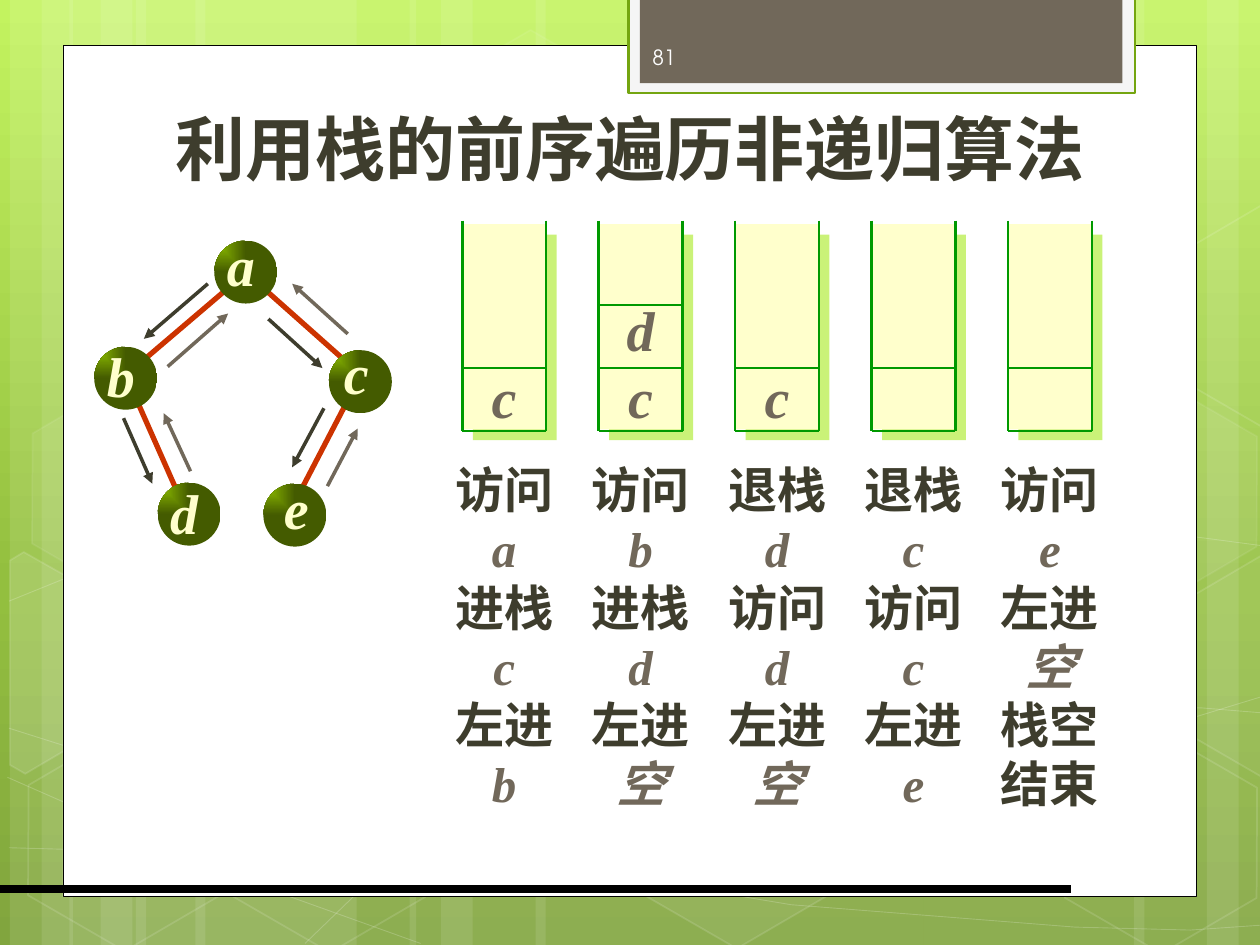
from pptx import Presentation, util as u
from pptx.dml.color import RGBColor
from pptx.enum import shapes as s, text as t
from pptx.oxml import parse_xml
from pptx.oxml.ns import qn, nsdecls

HUE = {"white": "FFFFFF", "black": "000000", "ink": "3E3D2D", "taupe": "71685A",
       "cream": "FFFFCC", "green": "009900", "red": "CC3300", "shade": "CAF278",
       "pale": "F5F5F5", "rim": "74A510", "page": "FEFEFE", "lit": "94C600",
       "dark": "445B00", "top": "C3F35F", "mid": "93BF3F", "low": "81A53E"}
SANS, SERIF = "TeX Gyre Adventor", "Times New Roman"


def rgb(hue):
    return RGBColor.from_string(HUE[hue])


class Deck:
    def __init__(self):
        self.prs = Presentation()
        self.prs.slide_width, self.prs.slide_height = u.Cm(25.4), u.Cm(19.05)
        self.slide = self.prs.slides.add_slide(self.prs.slide_layouts[5])
        self.pen = self.slide.shapes

    def group(self, on=True):
        self.pen = self.slide.shapes
        if on:
            self.pen = self.pen.add_group_shape().shapes

    def blend(self, stops, way):
        marks = "".join(f'<a:gs pos="{pos * 1000}"><a:srgbClr val="{HUE[hue]}"/></a:gs>'
                        for pos, hue in stops)
        return parse_xml(f'<a:gradFill {nsdecls("a")} rotWithShape="1">'
                         f'<a:gsLst>{marks}</a:gsLst>{way}</a:gradFill>')

    def back(self, stops):
        fill = self.slide.background.fill
        fill.solid()
        old = self.slide._element.cSld.find(".//" + qn("a:solidFill"))
        old.getparent().replace(old, self.blend(stops, '<a:lin ang="5400000" scaled="0"/>'))

    def paint(self, item, fill=None, line=None, wide=1, alpha=100, dim=100):
        item.shadow.inherit = False
        if fill:
            item.fill.solid()
            item.fill.fore_color.rgb = rgb(fill)
        else:
            item.fill.background()
        if line:
            item.line.color.rgb = rgb(line)
            item.line.width = u.Pt(wide)
        else:
            item.line.fill.background()
        for tag, pct in (("a:solidFill", alpha), ("a:ln", dim)):
            part = item._element.spPr.find(qn(tag))
            if part is not None and pct < 100:
                for clr in part.iter(qn("a:srgbClr")):
                    clr.append(parse_xml(f'<a:alpha {nsdecls("a")} val="{pct * 1000}"/>'))
        return item

    def shape(self, kind, box, **look):
        return self.paint(self.pen.add_shape(kind, *map(u.Cm, box)), **look)

    def rect(self, *box, **look):
        return self.shape(s.MSO_SHAPE.RECTANGLE, box, **look)

    def hexagon(self, x, y, **look):
        item = self.shape(s.MSO_SHAPE.HEXAGON, (x, y, 4.45, 3.86), line="white", **look)
        item.adjustments[0] = 0.285
        item.rotation = 30

    def trace(self, dots, close=False, **look):
        dots = [(u.Cm(x), u.Cm(y)) for x, y in dots]
        form = self.pen.build_freeform(*dots[0])
        form.add_line_segments(dots[1:], close=close)
        self.paint(form.convert_to_shape(), line="white", **look)

    def ball(self, x, y):
        item = self.shape(s.MSO_SHAPE.OVAL, (x, y, 1.27, 1.27), fill="lit")
        props = item._element.spPr
        way = '<a:path path="rect"><a:fillToRect r="100000" b="100000"/></a:path>'
        props.replace(props.find(qn("a:solidFill")),
                      self.blend([(0, "lit"), (100, "dark")], way))

    def cast(self, item):
        item._element.spPr.find(qn("a:effectLst")).append(parse_xml(
            f'<a:outerShdw {nsdecls("a")} dist="107950" dir="2700000" algn="ctr" '
            f'rotWithShape="0"><a:srgbClr val="{HUE["shade"]}"/></a:outerShdw>'))

    def line(self, *ends, hue, wide, arrow=False):
        item = self.pen.add_connector(s.MSO_CONNECTOR.STRAIGHT, *map(u.Cm, ends))
        item.line.color.rgb = rgb(hue)
        item.line.width = u.Pt(wide)
        if arrow:
            item.line._get_or_add_ln().append(
                parse_xml(f'<a:tailEnd {nsdecls("a")} type="triangle"/>'))
        item._element.spPr.append(parse_xml(f'<a:effectLst {nsdecls("a")}/>'))

    def style(self, para, size, hue, face, bold=True, slant=False):
        font = para.font
        font.size, font.name, font.bold, font.italic = u.Pt(size), face, bold, slant
        font.color.rgb = rgb(hue)

    def title(self, words, box):
        item = self.slide.shapes.title
        item.left, item.top, item.width, item.height = map(u.Cm, box)
        frame = item.text_frame
        frame.text = words
        frame.auto_size = t.MSO_AUTO_SIZE.NONE
        frame.vertical_anchor = t.MSO_ANCHOR.BOTTOM
        frame.paragraphs[0].alignment = t.PP_ALIGN.CENTER
        self.style(frame.paragraphs[0], 40, "ink", SANS)

    def text(self, rows, box, align=t.PP_ALIGN.CENTER):
        frame = self.pen.add_textbox(*map(u.Cm, box)).text_frame
        frame.word_wrap = False
        frame.vertical_anchor = t.MSO_ANCHOR.MIDDLE
        frame.text = "\n".join(row[0] for row in rows)
        for para, (_, look) in zip(frame.paragraphs, rows):
            para.alignment = align
            self.style(para, **look)

    def stack(self, x, items, steps):
        right, floor = x + 1.69, 8.69
        self.cast(self.rect(x, 4.52, 1.69, 4.14, fill="cream"))
        shelves = [floor - 1.27 * n for n in range(max(len(items), 1) + 1)]
        for y in shelves:
            self.line(x, y, right, y, hue="green", wide=1.5)
        for side in (x, right):
            self.line(side, 4.45, side, floor, hue="green", wide=1.5)
        if items:
            high = 0.23 + 1.37 * len(items)
            look = dict(size=32, hue="taupe", face=SERIF, slant=True)
            self.text([(item, look) for item in items], (x + 0.31, 8.79 - high, 1.07, high))
        plain = dict(size=28, hue="ink", face=SERIF)
        value = dict(size=28, hue="taupe", face=SERIF, slant=True)
        self.text([(step, value if len(step) == 1 else plain) for step in steps.split()],
                  (x - 0.41, 9.14, 2.51, 7.37))


STRIPES = [(2.74, 4.45), (0.2, 1.27), (0.84, 2.11), (3.94, 4.45), (1.4, 1.27), (2.03, 2.11),
           (18.62, 4.45), (24.33, 1.27), (22.86, 2.11), (10.8, 7.82), (8.26, 1.27), (8.89, 2.11)]
CURVES = [
    [(0.18, 17.09), (4.83, 17.22), (11.63, 16.89), (20.12, 15.67), (25.58, 14)],
    [(0.18, 12.12), (3.07, 10.95), (8.81, 9.83), (16.61, 9.83), (25.58, 11.02)],
    [(0.15, 15.67), (4.65, 17.65), (8.48, 19.02)],
    [(0.18, 14.68), (3.25, 15.65), (9.07, 17.09), (15.95, 18.24), (21.67, 18.69),
     (24, 18.75), (25.58, 18.64)],
    [(6.15, 19.02), (7.67, 17.55), (9.86, 16.23), (11.94, 15.47), (15.44, 14.68),
     (20.17, 14.27), (24.21, 14.27), (25.55, 14.38)]]
CELLS = [(8.48, 0.91, 4, 8), (12.62, 14.96, 6, 12), (0.28, 15.01, 0, 12), (0.36, 7.92, 7, 8),
         (4.42, 15.04, 0, 12), (21.18, 15.06, 0, 12), (21.18, 7.98, 7, 8)]
EDGE = [(23.52, 5.26), (25.43, 4.14), (25.63, 4.27), (25.63, 8.51), (25.45, 8.61), (23.52, 7.49)]
SHARDS = [([(0.2, 11.3), (0.48, 11.13), (2.44, 12.24), (2.41, 14.48), (0.51, 15.6),
            (0.2, 15.42)], 10),
          (EDGE, 0), ([(x, y + 7.06) for x, y in EDGE], 4)]
BONDS = [(7.14, 7.82, 5.99, 10.03), (2.74, 8.03, 3.58, 9.93),
         (5.21, 5.72, 7.01, 7.32), (4.7, 5.72, 2.74, 7.39)]
NODES = [("a", 4.32, 4.85, 4.32, 4.52), ("b", 1.9, 6.99, 1.9, 6.76), ("c", 6.63, 7.06, 6.65, 6.71),
         ("d", 3.18, 9.73, 3.18, 9.53), ("e", 5.31, 9.75, 5.44, 9.42)]
WALKS = {"ink": [(4.19, 5.72, 2.9, 6.83), (2.49, 8.43, 3.07, 9.75),
                 (5.41, 6.43, 6.5, 7.42), (6.53, 8.23, 5.89, 9.42)],
         "taupe": [(3.84, 9.5, 3.3, 8.33), (3.38, 7.39, 4.6, 6.32),
                   (6.6, 9.8, 7.21, 8.64), (7.01, 6.73, 5.89, 5.72)]}
STACKS = [("c", "访问 a 进栈 c 左进 b"), ("dc", "访问 b 进栈 d 左进 空"),
          ("c", "退栈 d 访问 d 左进 空"), ("", "退栈 c 访问 c 左进 e"),
          ("", "访问 e 左进 空 栈空 结束")]


def main():
    deck = Deck()
    deck.back([(0, "top"), (62, "mid"), (100, "low")])
    title = deck.slide.shapes.title._element
    deck.group()
    for x, wide in STRIPES:
        deck.rect(x, 0, wide, 19.05, fill="white", alpha=10)
    for dots in CURVES:
        deck.trace(dots, wide=0.5, dim=20)
    for x, y, alpha, dim in CELLS:
        deck.hexagon(x, y, fill="white" if alpha else None, alpha=alpha, dim=dim)
    for dots, alpha in SHARDS:
        deck.trace(dots, close=True, fill="white" if alpha else None, alpha=alpha, dim=12)
    deck.group(False)
    deck.rect(1.27, 0.91, 22.86, 17.17, fill="white", line="black", wide=0.5)
    deck.rect(12.67, -0.05, 10.21, 1.93, fill="pale", line="rim", wide=1.25)
    deck.rect(12.9, -0.05, 9.73, 1.73, fill="taupe")
    deck.line(0, 17.93, 21.59, 17.93, hue="black", wide=4.5)
    deck.slide.shapes._spTree.append(title)
    deck.title("利用栈的前序遍历非递归算法", (1.27, 1.27, 22.86, 2.67))
    deck.text([("81", dict(size=12, hue="page", face=SANS, bold=False))],
              (12.9, 0.64, 3.71, 1.02), t.PP_ALIGN.LEFT)
    deck.group()
    for ends in BONDS:
        deck.line(*ends, hue="red", wide=3)
    for name, x, y, left, top in NODES:
        deck.ball(x, y)
        deck.text([(name, dict(size=32, hue="cream", face=SERIF, slant=True))],
                  (left, top, 1.07, 1.6))
    for hue, paths in WALKS.items():
        for ends in paths:
            deck.line(*ends, hue=hue, wide=2, arrow=True)
    deck.group(False)
    for n, (items, steps) in enumerate(STACKS):
        deck.stack(9.32 + 2.75 * n, items, steps)
    deck.prs.save("out.pptx")


if __name__ == "__main__":
    main()
